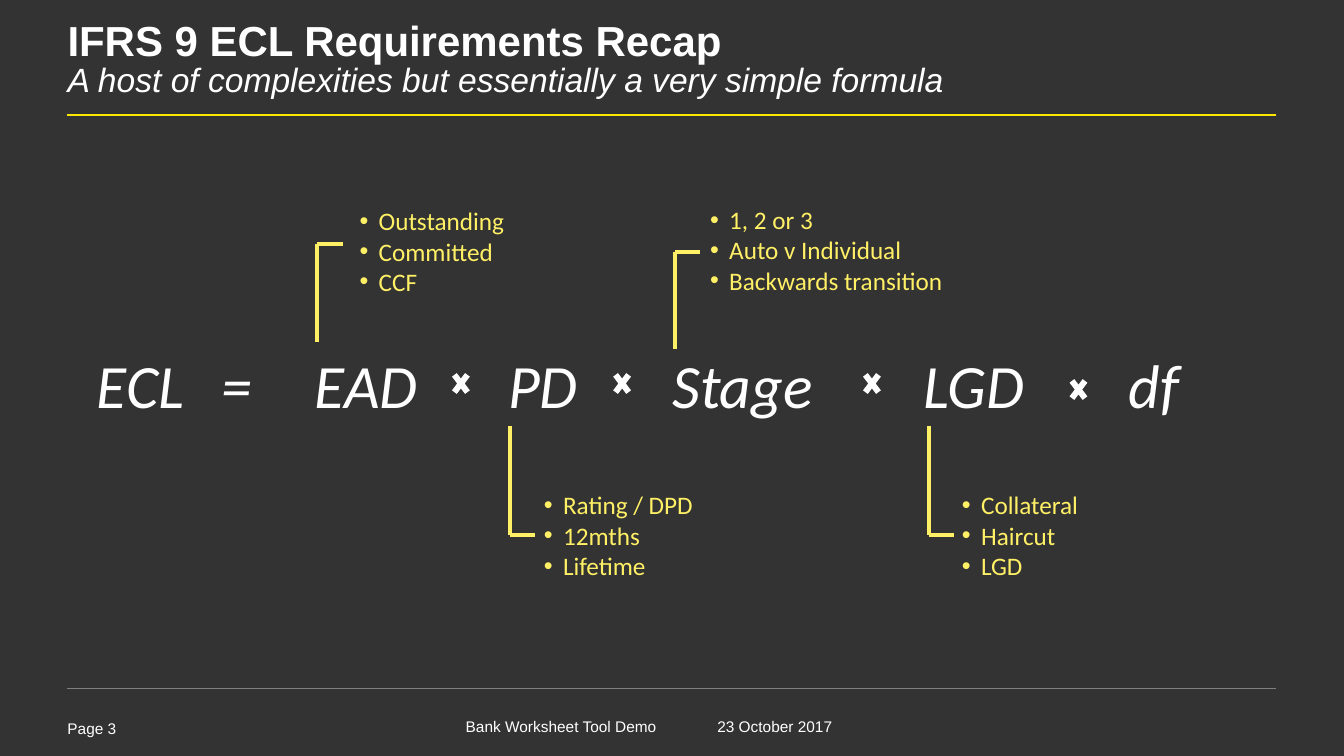
from lxml import etree
from pptx import Presentation
from pptx.dml.color import RGBColor
from pptx.enum.shapes import MSO_CONNECTOR as Connector, MSO_SHAPE as Shape
from pptx.enum.text import MSO_ANCHOR as Anchor, MSO_AUTO_SIZE as AutoSize, PP_ALIGN as Align
from pptx.oxml.ns import qn
from pptx.util import Inches, Pt

COLORS = {"background": "333333", "white": "FFFFFF", "rule": "FFE600",
          "footer_rule": "808080", "callout": "FFF066"}
FOOTER = {"name": "Arial", "size": Pt(11)}
TERM = {"name": "Calibri", "size": Pt(44), "italic": True}
CALLOUT = {"name": "Calibri", "size": Pt(18)}


def add_text(at, lines, look, color="white", align=Align.LEFT, padded=False, bullets=False):
    box = page.shapes.add_textbox(*map(Inches, at))
    frame = box.text_frame
    frame.vertical_anchor = Anchor.TOP
    frame.word_wrap = not padded
    if padded:
        frame.auto_size = AutoSize.SHAPE_TO_FIT_TEXT
    else:
        for side in ("left", "top", "right", "bottom"):
            setattr(frame, f"margin_{side}", 0)
    for index, line in enumerate(lines):
        para = frame.add_paragraph() if index else frame.paragraphs[0]
        para.alignment = align
        if bullets:
            properties = para._p.get_or_add_pPr()
            properties.set("marL", str(Inches(0.19)))
            properties.set("indent", str(-Inches(0.19)))
            etree.SubElement(properties, qn("a:buFont"), typeface="Arial")
            etree.SubElement(properties, qn("a:buChar"), char="•")
        span = para.add_run()
        span.text = line
        for key, value in look.items():
            setattr(span.font, key, value)
        span.font.color.rgb = RGBColor.from_string(COLORS[color])
    return box


def add_line(start, end, color, width):
    line = page.shapes.add_connector(Connector.STRAIGHT, *map(Inches, start + end))
    line.line.color.rgb = RGBColor.from_string(COLORS[color])
    line.line.width = Pt(width)
    etree.SubElement(line._element.spPr, qn("a:effectLst"))


deck = Presentation()
deck.slide_width, deck.slide_height = Inches(13.34), Inches(7.5)
page = deck.slides.add_slide(deck.slide_layouts[6])
page.background.fill.solid()
page.background.fill.fore_color.rgb = RGBColor.from_string(COLORS["background"])

# Footer and rules
add_text((0.67, 7.13, 0.97, 0.22), ["Page 3"], FOOTER)
add_text((7.12, 7.11, 1.37, 0.22), ["23 October 2017"], FOOTER)
add_text((3.76, 7.11, 3.62, 0.22), ["Bank Worksheet Tool Demo"], FOOTER, align=Align.CENTER)
add_line((0.67, 1.14), (12.67, 1.14), "rule", 1.5)
add_line((0.67, 6.83), (12.67, 6.83), "footer_rule", 0.25)

# Title and subtitle
title = add_text((0.67, 0.22, 12.01, 0.94),
                 ["IFRS 9 ECL Requirements Recap",
                  "A host of complexities but essentially a very simple formula"],
                 {"name": "Arial"})
heading, subtitle = title.text_frame.paragraphs
heading.runs[0].font.size, heading.runs[0].font.bold = Pt(30), True
subtitle.runs[0].font.size, subtitle.runs[0].font.italic = Pt(24), True
for para in (heading, subtitle):
    para.line_spacing = 0.85

# Formula terms
for term, left, width in [("ECL", 0.73, 1.33), ("=", 2.06, 0.58), ("EAD", 2.92, 1.43),
                          ("PD", 4.88, 1.02), ("Stage", 6.45, 1.84),
                          ("LGD", 8.98, 1.38), ("df", 11.07, 0.77)]:
    add_text((left, 3.39, width, 0.84), [term], TERM, align=Align.CENTER, padded=True)

# Multiplication signs
for left, top in [(4.45, 3.64), (6.05, 3.64), (8.53, 3.64), (10.58, 3.7)]:
    sign = page.shapes.add_shape(Shape.MATH_MULTIPLY, *map(Inches, (left, top, 0.25, 0.33)))
    sign.shadow.inherit = False
    sign.fill.solid()
    sign.fill.fore_color.rgb = RGBColor.from_string(COLORS["white"])
    sign.line.fill.background()

# Callouts: text box, then a stem from the term and a short arm to the list
callouts = [
    ((3.47, 1.99, 1.82, 1.01), ["Outstanding", "Committed", "CCF"], 3.15, 3.39, 2.42),
    ((5.3, 4.81, 1.91, 1.01), ["Rating / DPD", "12mths", "Lifetime"], 5.06, 4.23, 5.31),
    ((6.95, 1.98, 2.84, 1.01), ["1, 2 or 3", "Auto v Individual", "Backwards transition"],
     6.7, 3.46, 2.5),
    ((9.45, 4.81, 1.5, 1.01), ["Collateral", "Haircut", "LGD"], 9.22, 4.23, 5.31),
]
for at, items, stem, term_edge, bend in callouts:
    add_text(at, items, CALLOUT, "callout", padded=True, bullets=True)
    add_line((stem, term_edge), (stem, bend), "callout", 3)
    add_line((stem, bend), (stem + 0.25, bend), "callout", 3)

deck.save("out.pptx")
